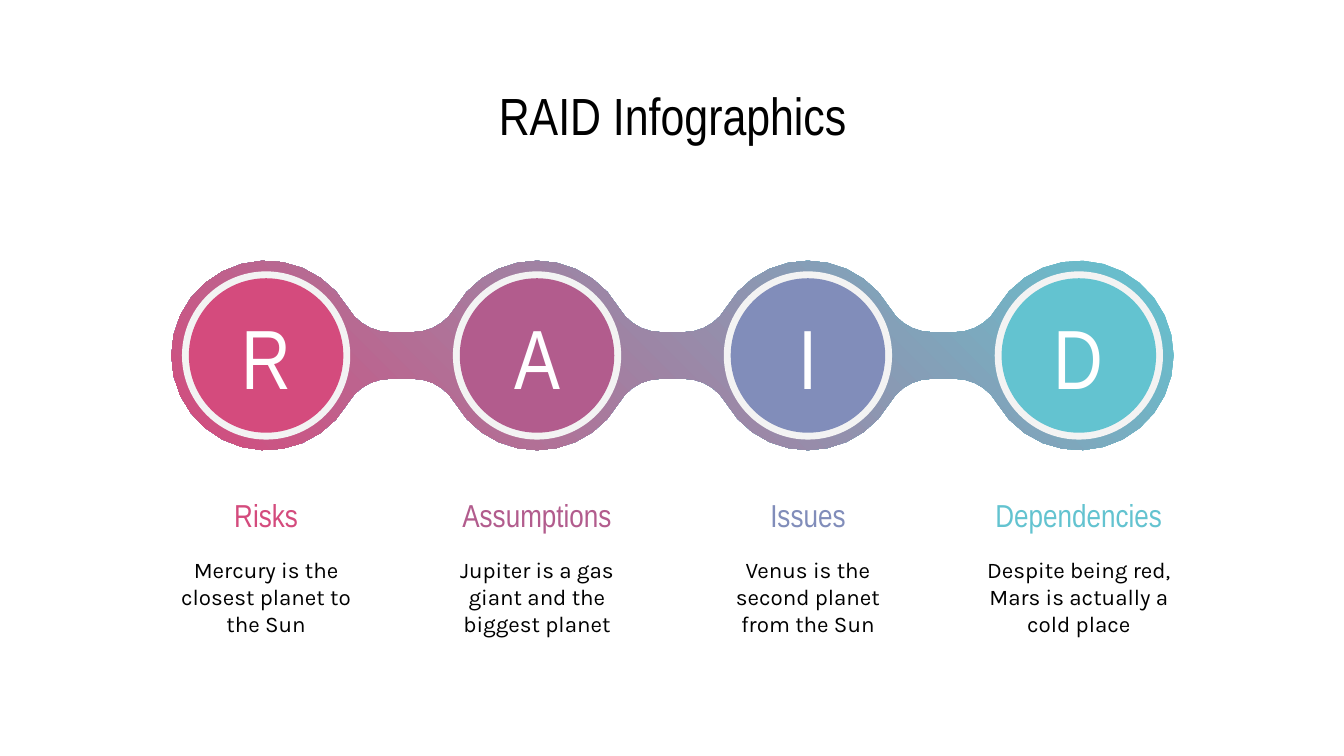
import math

from pptx import Presentation
from pptx.dml.color import RGBColor
from pptx.enum.shapes import MSO_SHAPE
from pptx.enum.text import MSO_ANCHOR, MSO_AUTO_SIZE, PP_ALIGN
from pptx.util import Cm, Pt

OVAL = MSO_SHAPE.OVAL
MIDDLE = MSO_ANCHOR.MIDDLE
CENTER = PP_ALIGN.CENTER
NO_AUTOFIT = MSO_AUTO_SIZE.NONE

TITLE = "RAID Infographics"
STEPS = [
    ("R", "Risks", "Mercury is the closest planet to the Sun", "pink"),
    ("A", "Assumptions", "Jupiter is a gas giant and the biggest planet", "plum"),
    ("I", "Issues", "Venus is the second planet from the Sun", "periwinkle"),
    ("D", "Dependencies", "Despite being red, Mars is actually a cold place", "aqua"),
]
COLORS = {
    "pink": "D44B7D", "plum": "B25C8D", "periwinkle": "818DBA", "aqua": "63C3D0",
    "ring": "F3F3F3", "black": "000000", "white": "FFFFFF",
}
HEADING_FONT, BODY_FONT = "Arial Narrow", "Karla"

# All lengths below are centimetres.
FIRST_X, PITCH, CENTER_Y = 5.03, 5.12, 6.72
CHAIN_RADIUS, RING_RADIUS, DISC_RADIUS = 1.79, 1.59, 1.46
NECK_HALF, NECK_START = 0.44, 2.34
TEXT_WIDTH, INSET = 4.24, 0.25
LABEL_TOP, LABEL_HEIGHT = 9.14, 1.19
DETAIL_TOP, DETAIL_HEIGHT = 10.21, 2.13
ARC_STEP = 12  # degrees between outline points


def color(name):
    return RGBColor.from_string(COLORS[name])


def write(box, text, *, size, font=HEADING_FONT, ink="black"):
    frame = box.text_frame
    frame.word_wrap = True
    frame.auto_size = NO_AUTOFIT
    frame.vertical_anchor = MIDDLE
    frame.margin_left = frame.margin_right = Cm(INSET)
    frame.margin_top = frame.margin_bottom = Cm(INSET)
    para = frame.paragraphs[0]
    para.alignment = CENTER
    span = para.add_run()
    span.text = text
    span.font.size = Pt(size)
    span.font.name = font
    span.font.color.rgb = color(ink)


def add_disc(shapes, x, radius, fill):
    disc = shapes.add_shape(OVAL, Cm(x - radius), Cm(CENTER_Y - radius),
                            Cm(2 * radius), Cm(2 * radius))
    disc.shadow.inherit = False
    disc.fill.solid()
    disc.fill.fore_color.rgb = color(fill)
    disc.line.fill.background()
    return disc


def add_text(shapes, x, top, height, text, **style):
    box = shapes.add_textbox(Cm(x - TEXT_WIDTH / 2), Cm(top), Cm(TEXT_WIDTH), Cm(height))
    write(box, text, **style)


def arc(x, y, radius, start, end):
    steps = round(abs(end - start) / ARC_STEP)
    angles = [math.radians(start + (end - start) * i / steps) for i in range(steps + 1)]
    return [(x + radius * math.cos(a), y + radius * math.sin(a)) for a in angles]


def chain_profile(centers):
    """Upper edge as (x, height above the axis): circles joined by tangent fillets."""
    fillet = ((NECK_START ** 2 + NECK_HALF ** 2 - CHAIN_RADIUS ** 2)
              / (2 * (CHAIN_RADIUS - NECK_HALF)))
    rise = NECK_HALF + fillet
    tangent = math.degrees(math.atan2(rise, NECK_START))
    points = []
    for x in centers:
        first, last = x == centers[0], x == centers[-1]
        if not first:
            points += arc(x - NECK_START, rise, fillet, -90, -tangent)[:-1]
        points += arc(x, 0, CHAIN_RADIUS, 180 if first else 180 - tangent,
                      0 if last else tangent)
        if not last:
            points += arc(x + NECK_START, rise, fillet, 180 + tangent, 270)[1:]
    return points


def add_chain(shapes, centers):
    upper = chain_profile(centers)
    outline = [(x, CENTER_Y - h) for x, h in upper]
    outline += [(x, CENTER_Y + h) for x, h in reversed(upper[1:-1])]
    points = [(Cm(x), Cm(y)) for x, y in outline]
    builder = shapes.build_freeform(*points[0])
    builder.add_line_segments(points[1:], close=True)
    chain = builder.convert_to_shape()
    chain.shadow.inherit = False
    chain.line.fill.background()
    chain.fill.gradient()
    chain.fill.gradient_angle = 225
    for stop, name in zip(chain.fill.gradient_stops, ("aqua", "pink")):
        stop.color.rgb = color(name)


def main():
    deck = Presentation()
    deck.slide_width, deck.slide_height = Cm(25.4), Cm(14.29)
    page = deck.slides.add_slide(deck.slide_layouts[5])

    title = page.shapes.title
    title.left, title.top, title.width, title.height = Cm(1.98), Cm(1.5), Cm(21.46), Cm(1.35)
    write(title, TITLE, size=28)

    centers = [FIRST_X + PITCH * i for i in range(len(STEPS))]
    add_chain(page.shapes, centers)
    for x in centers:
        add_disc(page.shapes, x, RING_RADIUS, "ring")
    for x, (letter, label, detail, hue) in zip(centers, STEPS):
        shapes = page.shapes.add_group_shape().shapes
        write(add_disc(shapes, x, DISC_RADIUS, hue), letter, size=45, ink="white")
        add_text(shapes, x, DETAIL_TOP, DETAIL_HEIGHT, detail, size=12, font=BODY_FONT)
        add_text(shapes, x, LABEL_TOP, LABEL_HEIGHT, label, size=17, ink=hue)

    deck.save("out.pptx")


if __name__ == "__main__":
    main()
